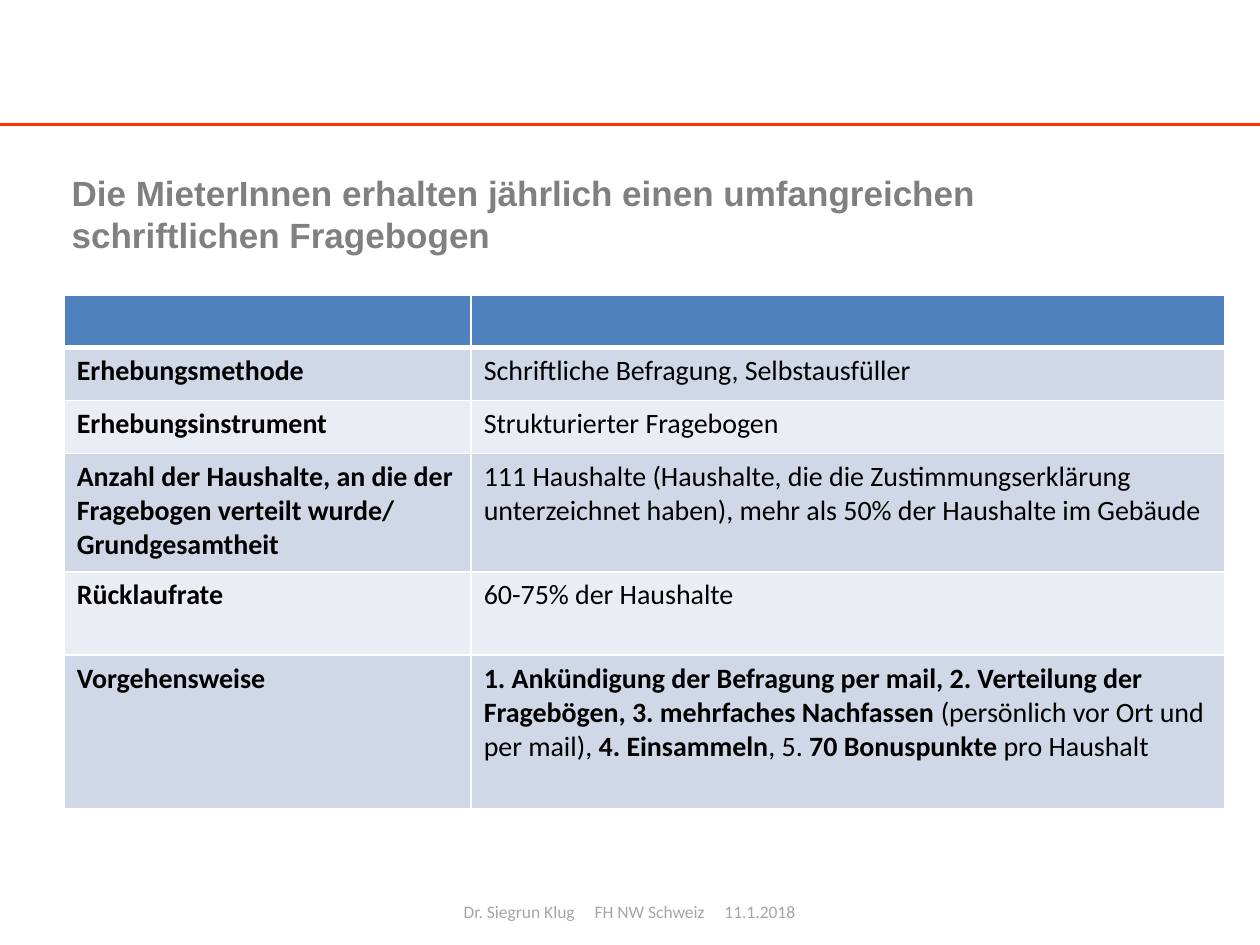
from pptx import Presentation
from pptx.dml.color import RGBColor
from pptx.enum.shapes import MSO_CONNECTOR
from pptx.oxml.ns import qn
from pptx.util import Inches, Pt
from lxml.etree import SubElement

WHITE = RGBColor(0xFF, 0xFF, 0xFF)
BLACK = RGBColor(0, 0, 0)
RED = RGBColor(0xFF, 0x33, 0x00)
TITLE_GREY = RGBColor(0x80, 0x80, 0x80)
FOOTER_GREY = RGBColor(0xA6, 0xA6, 0xA6)
HEADER_BLUE = RGBColor(0x4F, 0x81, 0xBD)
BANDS = (RGBColor(0xD0, 0xD8, 0xE8), RGBColor(0xE9, 0xED, 0xF4))

TITLE = "Die MieterInnen erhalten jährlich einen umfangreichen schriftlichen Fragebogen"
FOOTER = "Dr. Siegrun Klug\tFH NW Schweiz\t11.1.2018"
COL_WIDTHS = (3.23, 5.98)
ROW_HEIGHTS = (0.42, 0.42, 0.42, 0.94, 0.66, 1.22)

# Each row: label, then the (text, bold) runs of its description.
ROWS = [
    ("Erhebungsmethode", [("Schriftliche Befragung, Selbstausfüller", False)]),
    ("Erhebungsinstrument", [("Strukturierter Fragebogen", False)]),
    ("Anzahl der Haushalte, an die der Fragebogen verteilt wurde/ Grundgesamtheit",
     [("111 Haushalte (Haushalte, die die Zustimmungserklärung unterzeichnet haben), "
       "mehr als 50% der Haushalte im Gebäude", False)]),
    ("Rücklaufrate", [("60-75% der Haushalte", False)]),
    ("Vorgehensweise", [
        ("1. Ankündigung der Befragung per mail, 2. Verteilung der Fragebögen, "
         "3. mehrfaches Nachfassen ", True),
        ("(persönlich vor Ort und per mail), ", False),
        ("4. Einsammeln", True),
        (", 5. ", False),
        ("70 Bonuspunkte ", True),
        ("pro Haushalt", False),
    ]),
]


def add_run(p, text, size=16, font="Calibri", color=BLACK, bold=False):
    r = p.add_run()
    r.text = text
    r.font.size = Pt(size)
    r.font.name = font
    r.font.color.rgb = color
    r.font.bold = bold


def add_textbox(s, left, top, width, height):
    tf = s.shapes.add_textbox(Inches(left), Inches(top), Inches(width), Inches(height)).text_frame
    tf.word_wrap = True
    return tf


def add_rule(s, y, width):
    line = s.shapes.add_connector(MSO_CONNECTOR.STRAIGHT, 0, Inches(y), Inches(width), Inches(y))
    line.line.color.rgb = RED
    line.line.width = Pt(1.5)
    SubElement(line._element.spPr, qn("a:effectLst"))


def add_tab_stops(p, *positions):
    tabs = SubElement(p._p.get_or_add_pPr(), qn("a:tabLst"))
    for pos in positions:
        SubElement(tabs, qn("a:tab"), pos=str(Inches(pos)), algn="l")


def add_footer(s):
    tf = add_textbox(s, 3.42, 7.11, 3.17, 0.24)
    tf.margin_left, tf.margin_right = Inches(0.26), Inches(0.07)
    tf.margin_top = tf.margin_bottom = Inches(0.04)
    p = tf.paragraphs[0]
    add_tab_stops(p, 1.04, 2.07)
    add_run(p, FOOTER, size=10, color=FOOTER_GREY)


def style_cell(cell, fill, top=1, bottom=1):
    """Set white borders (widths in points), then the fill that must follow them."""
    tcPr = cell._tc.get_or_add_tcPr()
    for side, width in (("L", 1), ("R", 1), ("T", top), ("B", bottom)):
        ln = SubElement(tcPr, qn(f"a:ln{side}"), w=str(Pt(width)))
        SubElement(SubElement(ln, qn("a:solidFill")), qn("a:srgbClr"), val=str(WHITE))
    cell.fill.solid()
    cell.fill.fore_color.rgb = fill


def add_survey_table(s):
    table = s.shapes.add_table(len(ROW_HEIGHTS), len(COL_WIDTHS), Inches(0.51), Inches(2.34),
                               Inches(sum(COL_WIDTHS)), Inches(sum(ROW_HEIGHTS))).table
    for col, width in zip(table.columns, COL_WIDTHS):
        col.width = Inches(width)
    for row, height in zip(table.rows, ROW_HEIGHTS):
        row.height = Inches(height)
    for cell in table.rows[0].cells:
        style_cell(cell, HEADER_BLUE, bottom=3)
    for i, (label, description) in enumerate(ROWS):
        for j, runs in enumerate(([(label, True)], description)):
            cell = table.cell(i + 1, j)
            style_cell(cell, BANDS[i % 2], top=3 if i == 0 else 1)
            for text, bold in runs:
                add_run(cell.text_frame.paragraphs[0], text, bold=bold)


def main():
    prs = Presentation()
    prs.slide_width, prs.slide_height = Inches(10), Inches(7.5)
    s = prs.slides.add_slide(prs.slide_layouts[6])
    add_rule(s, 0.99, 10)
    add_footer(s)
    title = add_textbox(s, 0.47, 1.31, 9, 0.43)
    add_run(title.paragraphs[0], TITLE, size=20, font="Arial", color=TITLE_GREY, bold=True)
    add_survey_table(s)
    prs.save("out.pptx")


if __name__ == "__main__":
    main()
